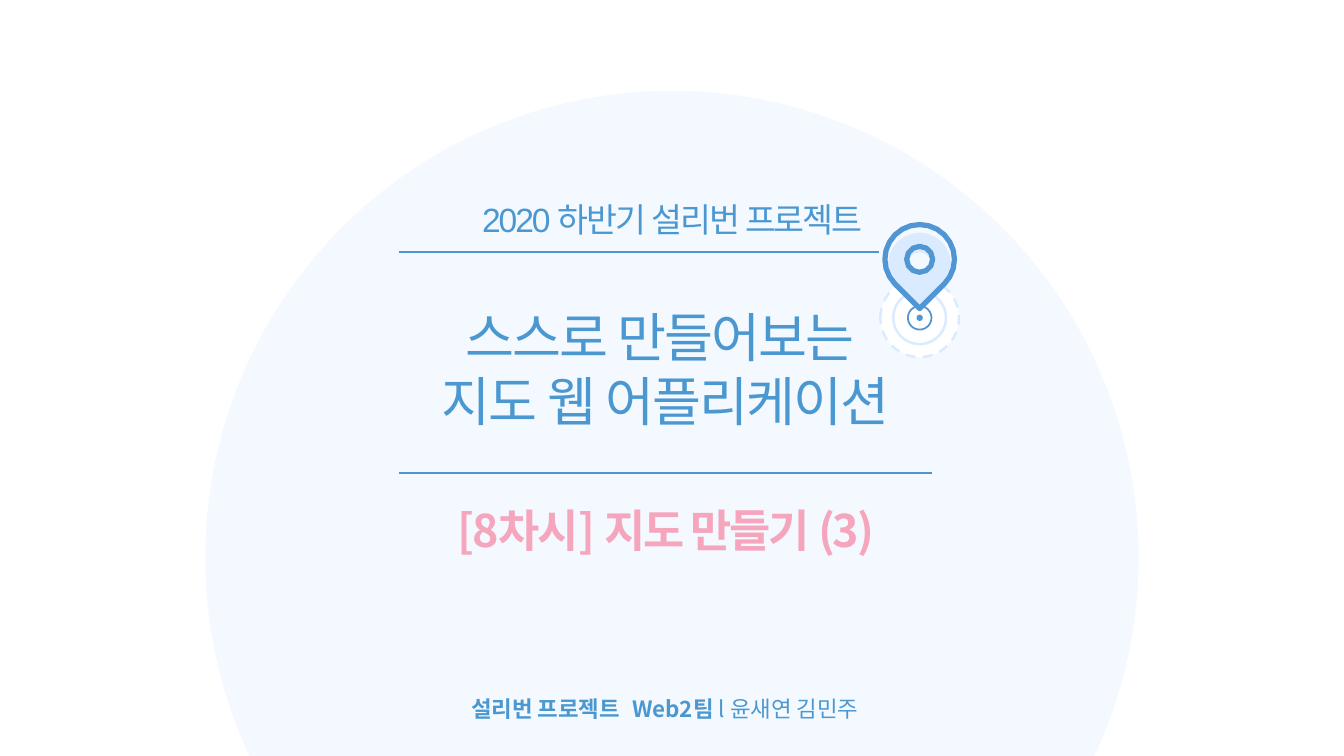
import math
from dataclasses import dataclass

from lxml import etree
from pptx import Presentation
from pptx import util as u
from pptx.dml import color
from pptx.enum import dml, shapes, text
from pptx.oxml import ns


@dataclass(frozen=True)
class Theme:
    blue: str = "4B98D1"
    pin: str = "5096D4"
    pale: str = "DBEBFF"
    disc: str = "F4F9FF"
    white: str = "FFFFFF"
    pink: str = "F5A5BC"
    sans: str = "Noto Sans CJK KR"
    title_font: str = "Lato"
    header_font: str = "Arial"
    title: int = 38
    lesson: int = 32
    header: int = 24
    footer: int = 16


T = Theme()


def rgb(value):
    return color.RGBColor.from_string(value)


def place(sp, box):
    sp.left, sp.top, sp.width, sp.height = (u.Pt(v) for v in box)


def add_run(p, content, size, font, tint, bold=False, spacing=0):
    r = p.add_run()
    r.text = content
    r.font.size, r.font.name, r.font.bold = u.Pt(size), font, bold
    r.font.color.rgb = rgb(tint)
    rpr = r.font._element
    if spacing:
        rpr.set("spc", str(round(spacing * 100)))
    etree.SubElement(rpr, ns.qn("a:ea")).set("typeface", font)


def write(s, box, lines, holder=None, **style):
    sp = holder or s.shapes.add_textbox(0, 0, 0, 0)
    place(sp, box)
    tf = sp.text_frame
    tf.word_wrap = True
    tf.auto_size = text.MSO_AUTO_SIZE.SHAPE_TO_FIT_TEXT
    tf.vertical_anchor = text.MSO_ANCHOR.TOP
    for i, runs in enumerate(lines):
        p = tf.add_paragraph() if i else tf.paragraphs[0]
        p.alignment = text.PP_ALIGN.CENTER
        p.space_before = u.Pt(0)
        for content, extra in runs:
            add_run(p, content, **{**style, **extra})


def paint(sp, fill=None, line=None, weight=0, dash=None):
    sp.shadow.inherit = False
    if fill:
        sp.fill.solid()
        sp.fill.fore_color.rgb = rgb(fill)
    else:
        sp.fill.background()
    if line:
        sp.line.color.rgb = rgb(line)
        sp.line.width = u.Pt(weight)
        if dash:
            sp.line.dash_style = dash
    else:
        sp.line.fill.background()


def circle(s, cx, cy, d, **look):
    sp = s.shapes.add_shape(shapes.MSO_SHAPE.OVAL, 0, 0, 0, 0)
    place(sp, (cx - d / 2, cy - d / 2, d, d))
    paint(sp, **look)
    return sp


def rule(s, x1, x2, y):
    c = s.shapes.add_connector(
        shapes.MSO_CONNECTOR.STRAIGHT, u.Pt(x1), u.Pt(y), u.Pt(x2), u.Pt(y))
    c.line.color.rgb = rgb(T.blue)
    c.line.width = u.Pt(1.5)
    etree.SubElement(c.element.spPr, ns.qn("a:effectLst"))


def arc(cx, cy, r, angles):
    return [(u.Pt(cx + r * math.cos(a)), u.Pt(cy + r * math.sin(a)))
            for a in map(math.radians, angles)]


def teardrop(s, cx, tip, r, hole, **look):
    cy = tip - r * math.sqrt(2)
    outer = arc(cx, cy, r, range(135, 406, 15)) + [(u.Pt(cx), u.Pt(tip))]
    inner = arc(cx, cy, hole, range(360, 0, -30))
    fb = s.shapes.build_freeform(*outer[0])
    fb.add_line_segments(outer[1:], close=True)
    fb.move_to(*inner[0])
    fb.add_line_segments(inner[1:], close=True)
    paint(fb.convert_to_shape(), **look)


def map_pin(s, box):
    x, y, w, h = box
    cx, cy = x + w / 2, y + h - w / 2
    circle(s, cx, cy, w, fill=T.white, line=T.pale, weight=1.75,
           dash=dml.MSO_LINE.DASH)
    circle(s, cx, cy, w * 0.67, fill=T.white, line=T.pale, weight=1.75)
    circle(s, cx, cy, w * 0.3, fill=T.white, line=T.pin, weight=1.25)
    circle(s, cx, cy, w * 0.08, fill=T.pin)
    tip = y + h * 0.633
    teardrop(s, cx, tip, w * 0.4, w * 0.15, fill=T.pale)
    teardrop(s, cx, tip, w * 0.442, w * 0.165, line=T.pin, weight=3.75)


def cover(s, box):
    x, y, w, h = box
    disc = circle(s, x + w / 2, y + 398.2, 666.7, fill=T.disc)
    disc.element.getparent().insert(2, disc.element)
    title, subtitle = s.placeholders
    write(s, (x + 176.4, y + 213.8, 598.3, 99.4),
          [[("스스로 만들어보는 ", {})], [(" 지도 웹 어플리케이션 ", {})]],
          title, size=T.title, font=T.title_font, tint=T.blue, spacing=-1.5)
    write(s, (x + 176.4, y + 355.7, 598.3, 46.1),
          [[("[8차시] 지도 만들기 (3)", {})]],
          subtitle, size=T.lesson, font=T.sans, tint=T.pink, bold=True,
          spacing=-1.5)
    write(s, (x + 288.7, y + 493, 372.2, 26.6),
          [[("설리번 프로젝트", {"bold": True}),
            (" ", {"bold": True, "spacing": 5}),
            ("Web2팀 ", {"bold": True}),
            ("l 윤새연 김민주", {})]],
          size=T.footer, font=T.sans, tint=T.blue)
    write(s, (x + 215.3, y + 138.7, 529.9, 36),
          [[("2020 하반기 설리번 프로젝트", {})]],
          size=T.header, font=T.header_font, tint=T.blue, spacing=-1.5)
    rule(s, x + 285, x + 628, y + 180)
    rule(s, x + 285, x + 666, y + 337.7)
    map_pin(s, (x + 628.8, y + 160.6, 56.2, 94.5))


def main():
    prs = Presentation()
    prs.slide_width, prs.slide_height = u.Pt(960), u.Pt(540)
    s = prs.slides.add_slide(prs.slide_layouts[0])
    s.background.fill.solid()
    s.background.fill.fore_color.rgb = rgb(T.white)
    cover(s, (0, 0, 960, 540))
    prs.save("out.pptx")


if __name__ == "__main__":
    main()
